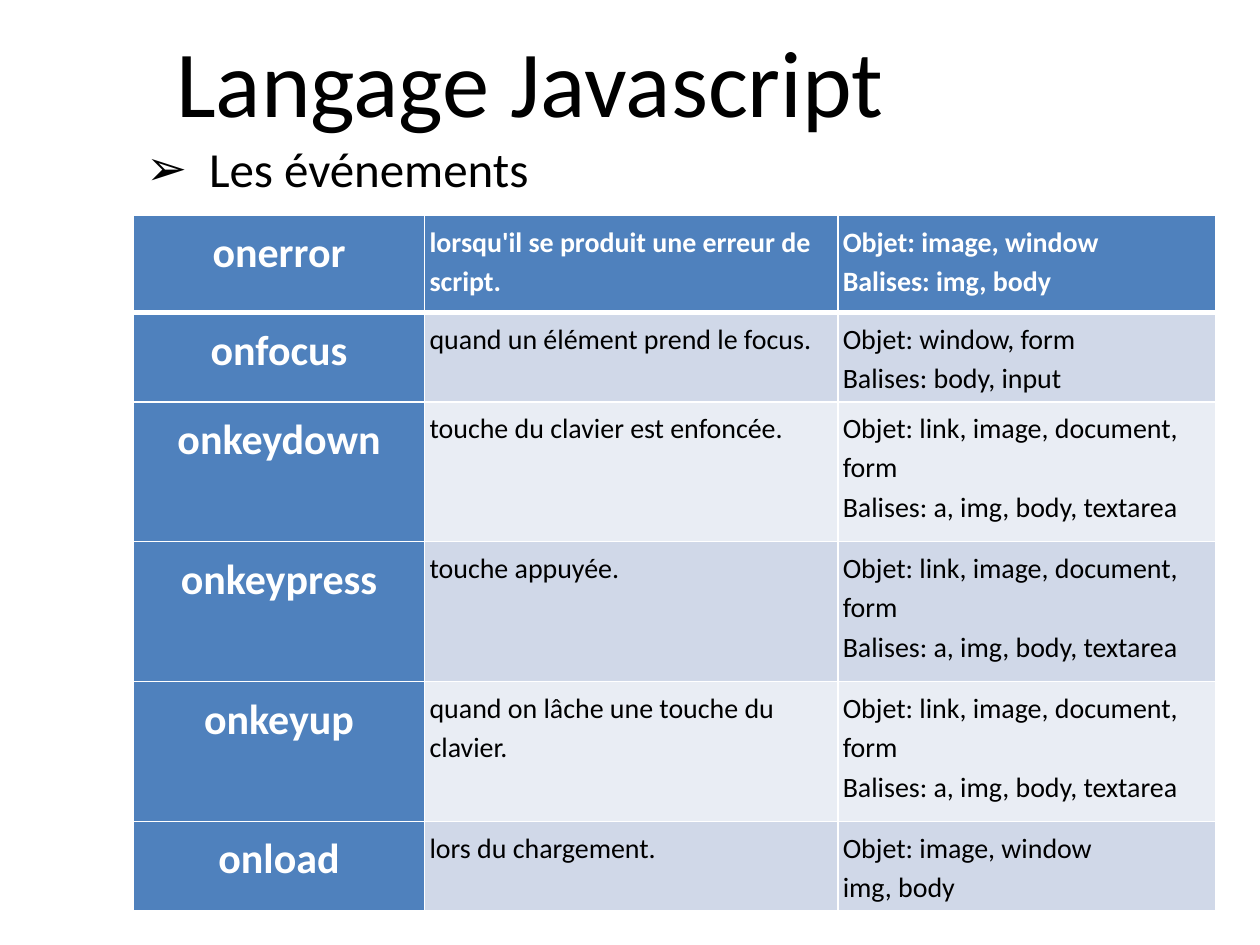
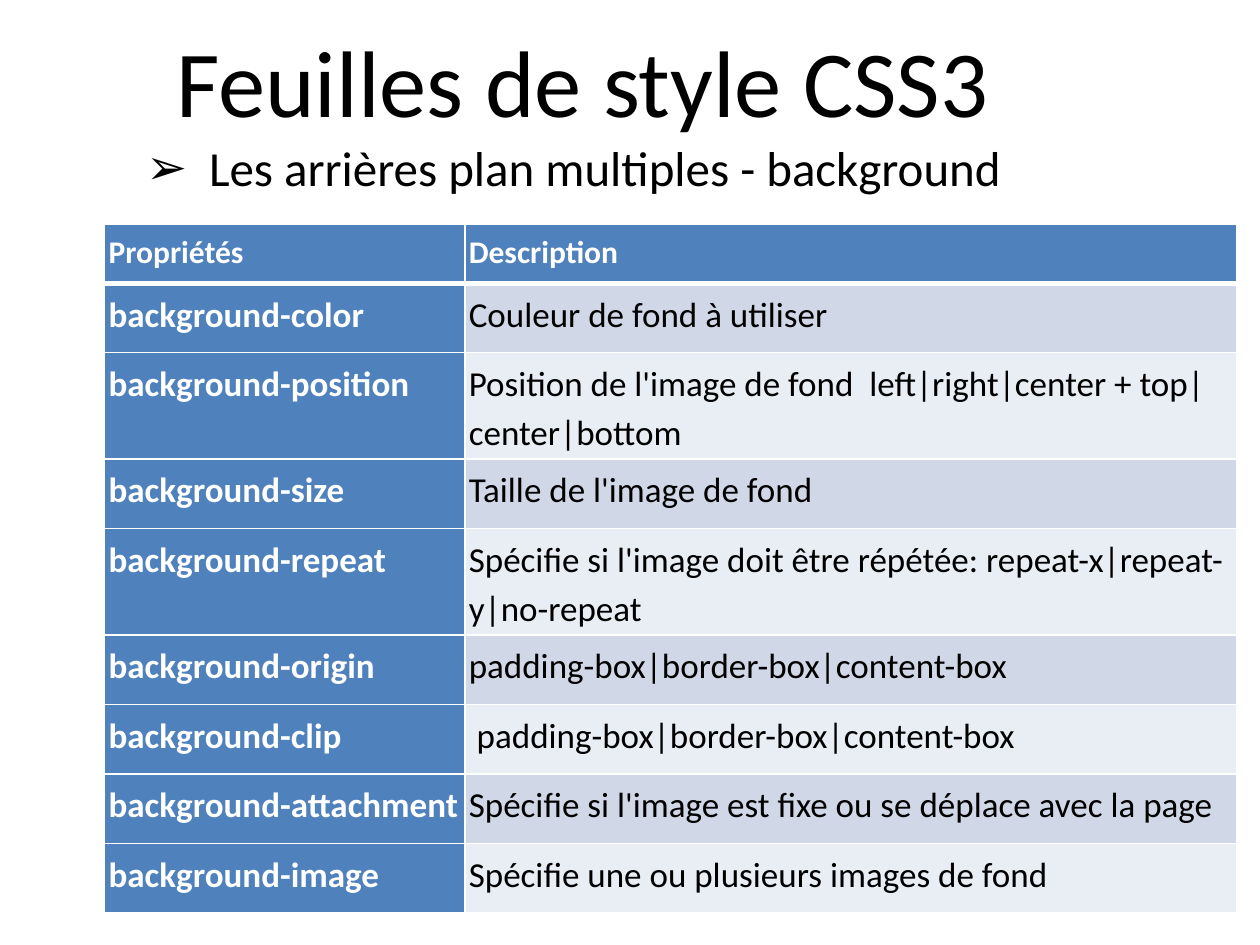
"""Build two course slides: JavaScript events and CSS3 backgrounds."""
from lxml import etree
from pptx import Presentation
from pptx import util as u
from pptx.dml.color import RGBColor
from pptx.enum import text
from pptx.oxml import ns

FONT = "Calibri"
BLACK, WHITE, BLUE = "000000", "FFFFFF", "4F81BD"
BANDS = ("D0D8E8", "E9EDF4")
LEFT, CENTER = text.PP_ALIGN.LEFT, text.PP_ALIGN.CENTER
KEY_TARGETS = "Objet: link, image, document, form \vBalises: a, img, body, textarea"

LESSONS = [
    {
        "title": "Langage Javascript",
        "topic": "Les événements",
        "topic_box": (2.69, 2.67, 12.8, 1.45),
        "topic_spacing": 1.0,
        "origin": (2.69, 4.34),
        "columns": (5.87, 8.33, 7.62),
        "heights": (1.96, 1.8, 2.82, 2.82, 2.82, 1.8),
        "header_sizes": (24, 16, 16),
        "sizes": (24, 16, 16),
        "key_align": CENTER,
        "inset": 0.1,
        "rows": [
            ("onerror", "lorsqu'il se produit une erreur de script.",
             "Objet: image, window \vBalises: img, body"),
            ("onfocus", "quand un élément prend le focus.",
             "Objet: window, form \vBalises: body, input"),
            ("onkeydown", "touche du clavier est enfoncée.", KEY_TARGETS),
            ("onkeypress", "touche appuyée.", KEY_TARGETS),
            ("onkeyup", "quand on lâche une touche du clavier.", KEY_TARGETS),
            ("onload", "lors du chargement.", "Objet: image, window \vimg, body"),
        ],
    },
    {
        "title": "Feuilles de style CSS3",
        "topic": "Les arrières plan multiples - background",
        "topic_box": (2.69, 2.77, 22.23, 1.35),
        "topic_spacing": 0.9,
        "origin": (2.11, 4.52),
        "columns": (7.26, 15.57),
        "heights": (1.19, 1.4, 1.96, 1.4, 2.06, 1.4, 1.4, 1.4, 1.4),
        "header_sizes": (18, 18),
        "sizes": (20, 20),
        "key_align": LEFT,
        "inset": 0.08,
        "rows": [
            ("Propriétés", "Description"),
            ("background-color", "Couleur de fond à utiliser"),
            ("background-position",
             "Position de l'image de fond  left|right|center + top|center|bottom"),
            ("background-size", "Taille de l'image de fond"),
            ("background-repeat",
             "Spécifie si l'image doit être répétée: repeat-x|repeat-y|no-repeat"),
            ("background-origin", "padding-box|border-box|content-box"),
            ("background-clip", " padding-box|border-box|content-box"),
            ("background-attachment",
             "Spécifie si l'image est fixe ou se déplace avec la page"),
            ("background-image", "Spécifie une ou plusieurs images de fond"),
        ],
    },
]


def color(value):
    return RGBColor.from_string(value)


def style(paragraph, size, ink=BLACK, bold=False, align=LEFT, spacing=1.0):
    paragraph.alignment = align
    paragraph.line_spacing = spacing
    paragraph.space_before = u.Pt(0)
    for run in paragraph.runs:
        run.font.name = FONT
        run.font.size = u.Pt(size)
        run.font.bold = bold
        run.font.color.rgb = color(ink)


def fill_placeholder(holder, words, box):
    holder.left, holder.top, holder.width, holder.height = map(u.Cm, box)
    frame = holder.text_frame
    frame.text = words
    frame.word_wrap = True
    frame.auto_size = text.MSO_AUTO_SIZE.NONE
    frame.vertical_anchor = text.MSO_ANCHOR.TOP
    return frame.paragraphs[0]


def add_arrow_bullet(paragraph):
    props = paragraph._p.get_or_add_pPr()
    indent = u.Cm(1.27)
    props.set("marL", str(indent))
    props.set("indent", str(-indent))
    etree.SubElement(props, ns.qn("a:buFont"), typeface="Arial")
    etree.SubElement(props, ns.qn("a:buChar"), char="➢")


def add_borders(cell, top, bottom):
    props = cell._tc.get_or_add_tcPr()
    for place, (side, points) in enumerate(zip("LRTB", (1, 1, top, bottom))):
        line = etree.Element(ns.qn(f"a:ln{side}"), w=str(u.Pt(points)))
        paint = etree.SubElement(line, ns.qn("a:solidFill"))
        etree.SubElement(paint, ns.qn("a:srgbClr"), val=WHITE)
        props.insert(place, line)


def fill_cell(cell, words, row, column, lesson):
    strong = row == 0 or column == 0
    cell.fill.solid()
    cell.fill.fore_color.rgb = color(BLUE if strong else BANDS[(row - 1) % 2])
    add_borders(cell, top=3 if row == 1 else 1, bottom=3 if row == 0 else 1)
    inset = u.Cm(lesson["inset"])
    cell.margin_left = cell.margin_right = inset
    cell.margin_top = cell.margin_bottom = inset
    cell.text_frame.text = words
    sizes = lesson["sizes" if row else "header_sizes"]
    style(cell.text_frame.paragraphs[0], sizes[column],
          WHITE if strong else BLACK, strong,
          lesson["key_align"] if column == 0 else LEFT, 1.15)


def add_reference_table(slide, lesson):
    rows, columns, heights = lesson["rows"], lesson["columns"], lesson["heights"]
    extent = (*lesson["origin"], sum(columns), sum(heights))
    reference = slide.shapes.add_table(
        len(rows), len(columns), *map(u.Cm, extent)).table
    for column, width in zip(reference.columns, columns):
        column.width = u.Cm(width)
    for row, height in zip(reference.rows, heights):
        row.height = u.Cm(height)
    for r, entries in enumerate(rows):
        for c, words in enumerate(entries):
            fill_cell(reference.cell(r, c), words, r, c, lesson)


def add_lesson(deck, lesson):
    slide = deck.slides.add_slide(deck.slide_layouts[1])
    heading = fill_placeholder(
        slide.shapes.title, lesson["title"], (3.3, 0.33, 21.79, 2.57))
    style(heading, 54)
    topic = fill_placeholder(
        slide.placeholders[1], lesson["topic"], lesson["topic_box"])
    add_arrow_bullet(topic)
    style(topic, 28, spacing=lesson["topic_spacing"])
    add_reference_table(slide, lesson)


def main():
    deck = Presentation()
    deck.slide_width, deck.slide_height = u.Cm(25.4), u.Cm(19.05)
    for lesson in LESSONS:
        add_lesson(deck, lesson)
    deck.save("out.pptx")


if __name__ == "__main__":
    main()
